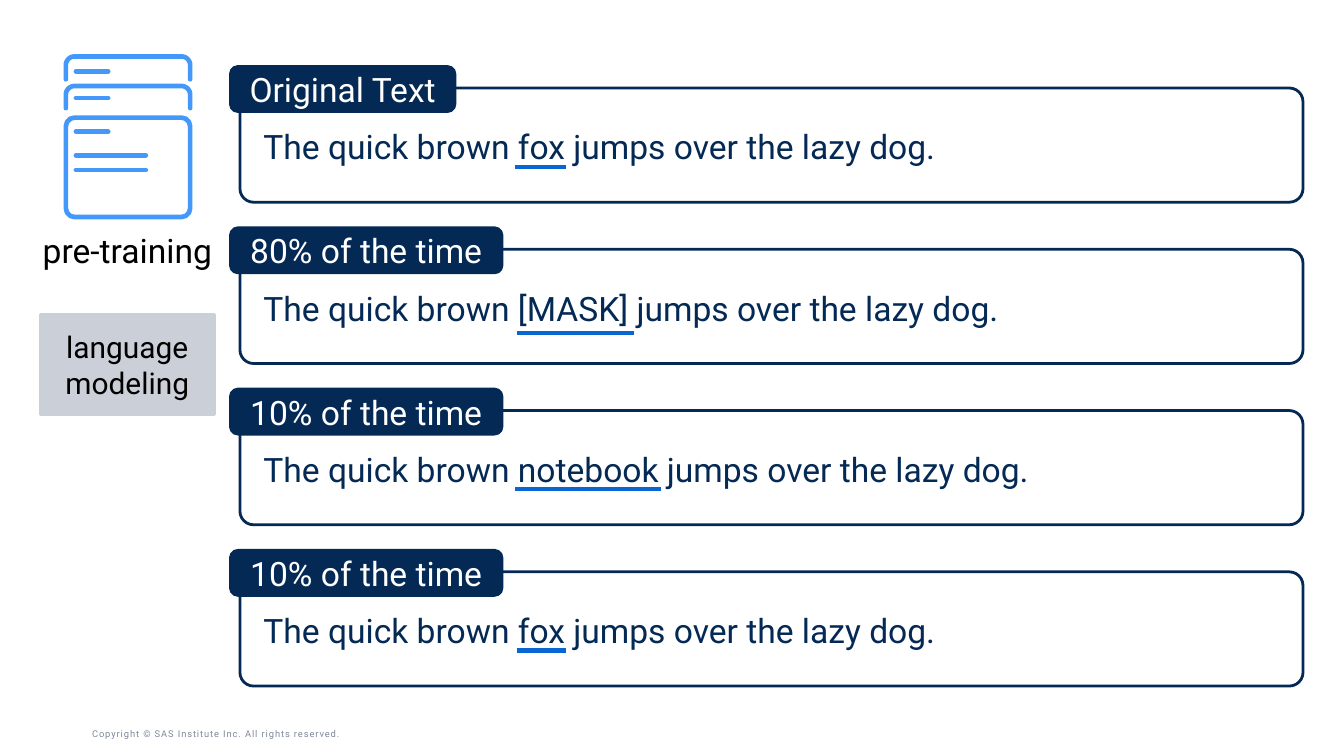
import math

import pptx
import pptx.dml.color
import pptx.enum.shapes
import pptx.enum.text
import pptx.oxml
import pptx.util

THEME = {
    "font": "Roboto",
    "navy": "032954", "blue": "0766D1", "sky": "4398F9", "panel": "CBCFD7",
    "footer": "7E889A", "black": "000000", "white": "FFFFFF",
    "body_size": 36, "panel_size": 32, "footer_size": 10,
}
RGB = pptx.dml.color.RGBColor.from_string
SHAPE = pptx.enum.shapes.MSO_SHAPE
ALIGN = pptx.enum.text.PP_ALIGN
ANCHOR = pptx.enum.text.MSO_ANCHOR

presentation = pptx.Presentation()
presentation.slide_width = pptx.util.Inches(20)
presentation.slide_height = pptx.util.Inches(11.25)
slide = presentation.slides.add_slide(presentation.slide_layouts[6])
shapes = slide.shapes
CELL = presentation.slide_width // 20  # square grid, 20 columns wide


def grid(*cells):
    """Convert grid columns and rows to slide lengths."""
    return [pptx.util.Emu(round(cell * CELL)) for cell in cells]


def write_text(shape, text, color="navy", size="body_size", align=ALIGN.LEFT,
               anchor=ANCHOR.TOP, insets=(0, 0, 0, 0), spacing=None):
    frame = shape.text_frame
    frame.word_wrap = True
    frame.vertical_anchor = anchor
    (frame.margin_left, frame.margin_top,
     frame.margin_right, frame.margin_bottom) = grid(*insets)
    paragraph = frame.paragraphs[0]
    paragraph.alignment = align
    run = paragraph.add_run()
    run.text = text
    run.font.name = THEME["font"]
    run.font.size = pptx.util.Pt(THEME[size])
    run.font.color.rgb = RGB(THEME[color])
    if spacing:
        run.font._element.set("spc", str(spacing))


# Footer
footer = shapes.add_textbox(*grid(1.37, 10.78, 5.5, 0.27))
write_text(footer, "Copyright © SAS Institute Inc. All rights reserved.", "footer",
           "footer_size", anchor=ANCHOR.BOTTOM, insets=(0, 0.05, 0.1, 0.05), spacing=100)

# Stack of pages: a front page with the tops of two pages behind it
PAGE_LEFT, PAGE_RIGHT, CORNER, ICON_LINE = 0.98, 2.83, 0.13, 5
pages = []
for top, bottom in ((0.84, 1.18), (1.28, 1.61)):
    points = [grid(PAGE_LEFT, bottom)]
    for center, start in ((PAGE_LEFT + CORNER, 180), (PAGE_RIGHT - CORNER, 270)):
        for degrees in range(start, start + 91, 10):
            angle = math.radians(degrees)
            points.append(grid(center + CORNER * math.cos(angle),
                               top + CORNER * (1 + math.sin(angle))))
    points.append(grid(PAGE_RIGHT, bottom))
    builder = shapes.build_freeform(*points[0])
    builder.add_line_segments(points[1:], close=False)
    pages.append(builder.convert_to_shape())
front_page = shapes.add_shape(
    SHAPE.ROUNDED_RECTANGLE, *grid(PAGE_LEFT, 1.75, PAGE_RIGHT - PAGE_LEFT, 1.48))
front_page.adjustments[0] = CORNER / 1.48
pages.append(front_page)
for page in pages:
    page.shadow.inherit = False
    page.fill.background()
    page.line.color.rgb = RGB(THEME["sky"])
    page.line.width = pptx.util.Pt(ICON_LINE)
    page.line._get_or_add_ln().set("cap", "rnd")

pre_training = shapes.add_textbox(*grid(0.49, 3.42, 2.81, 0.61))
write_text(pre_training, "pre-training", "black", align=ALIGN.CENTER)

# Straight strokes: left, right, row, colour, width, cap
strokes = [(1.13, right, row, "sky", ICON_LINE, "rnd") for right, row in
           ((1.61, 1.06), (1.61, 1.46), (1.61, 1.96), (2.17, 2.31), (2.17, 2.53))]

# Examples: tag, tag width, word in the sentence, underline left, right and drop
examples = [
    ("Original Text", 3.34, "fox", 7.67, 8.42, 1.49),
    ("80% of the time", 4.04, "[MASK]", 7.69, 9.43, 1.56),
    ("10% of the time", 4.04, "notebook", 7.67, 9.83, 1.49),
    ("10% of the time", 4.04, "fox", 7.69, 8.42, 1.49),
]
FIRST_ROW, ROW_STEP = 0.99, 2.4
for index, (label, width, word, left, right, drop) in enumerate(examples):
    top = FIRST_ROW + index * ROW_STEP
    strokes.append((left, right, top + drop, "blue", 4.5, "flat"))

    sentence = shapes.add_textbox(*grid(3.92, top + 0.89, 15.08, 0.61))
    write_text(sentence, f"The quick brown {word} jumps over the lazy dog.")

    border = shapes.add_shape(SHAPE.ROUNDED_RECTANGLE, *grid(3.57, top + 0.32, 15.82, 1.7))
    border.adjustments[0] = 0.12
    border.fill.background()
    tag = shapes.add_shape(SHAPE.ROUNDED_RECTANGLE, *grid(3.43, top, width, 0.67))
    tag.fill.solid()
    tag.fill.fore_color.rgb = RGB(THEME["navy"])
    write_text(tag, label, "white", align=ALIGN.CENTER, anchor=ANCHOR.MIDDLE)
    for box in (border, tag):
        box.shadow.inherit = False
        box.line.color.rgb = RGB(THEME["navy"])
        box.line.width = pptx.util.Pt(3)

for left, right, row, color, width, cap in strokes:
    stroke = shapes.add_connector(
        pptx.enum.shapes.MSO_CONNECTOR.STRAIGHT, *grid(left, row, right, row))
    stroke.line.color.rgb = RGB(THEME[color])
    stroke.line.width = pptx.util.Pt(width)
    stroke.line._get_or_add_ln().set("cap", cap)
    properties = stroke._element.spPr
    properties.append(properties.makeelement(pptx.oxml.ns.qn("a:effectLst"), {}))

# Task callout
callout = shapes.add_shape(SHAPE.LINE_CALLOUT_1, *grid(0.61, 4.69, 2.57, 1.47))
for position, value in enumerate((-0.015, 0.5, 0.45, 0.43)):
    callout.adjustments[position] = value
callout.shadow.inherit = False
callout.fill.solid()
callout.fill.fore_color.rgb = RGB(THEME["panel"])
callout.line.color.rgb = RGB(THEME["panel"])
callout.line.width = pptx.util.Pt(4)
write_text(callout, "language modeling", "black", "panel_size", align=ALIGN.CENTER,
           anchor=ANCHOR.MIDDLE, insets=(0.19, 0.19, 0.19, 0.19))

presentation.save("out.pptx")
